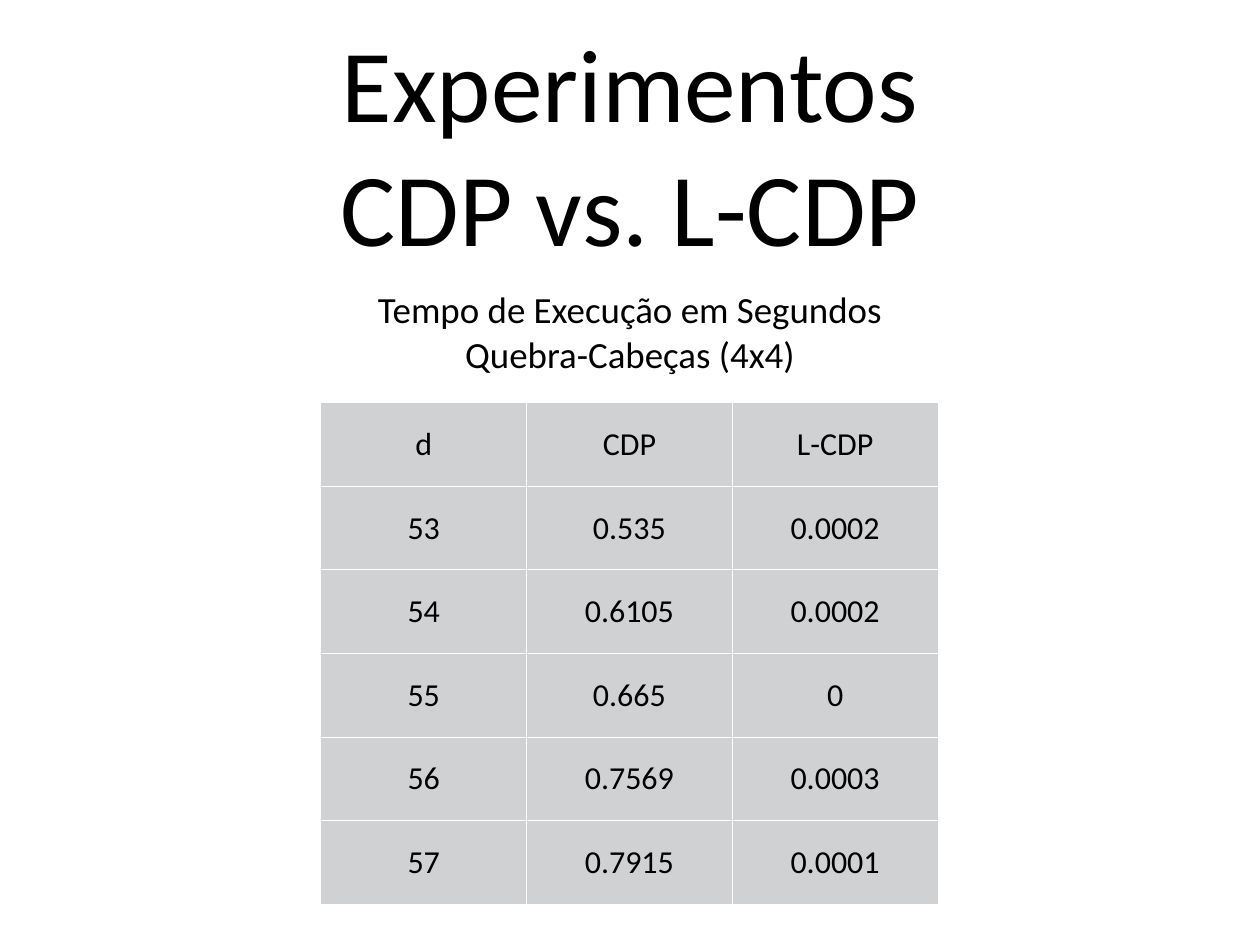
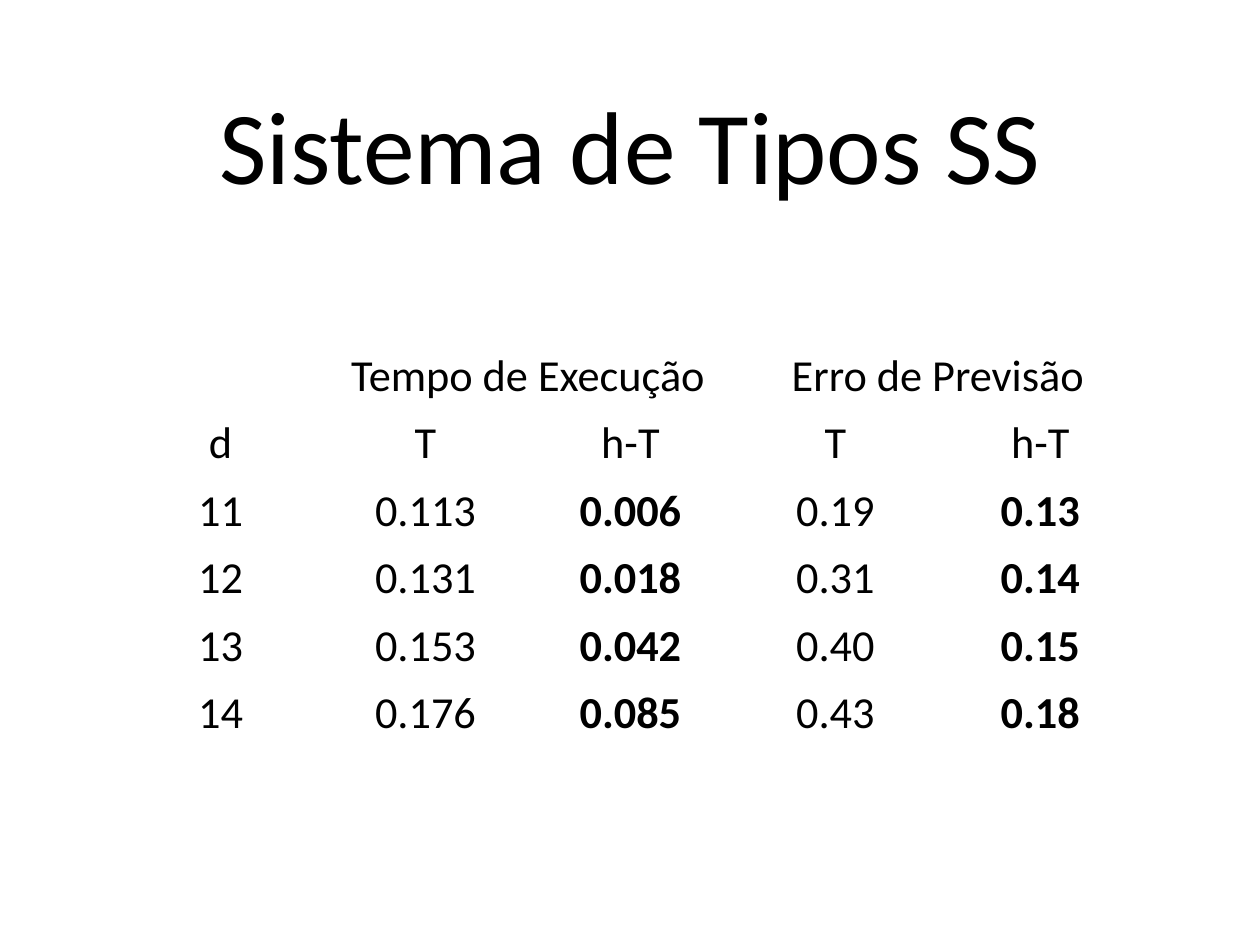
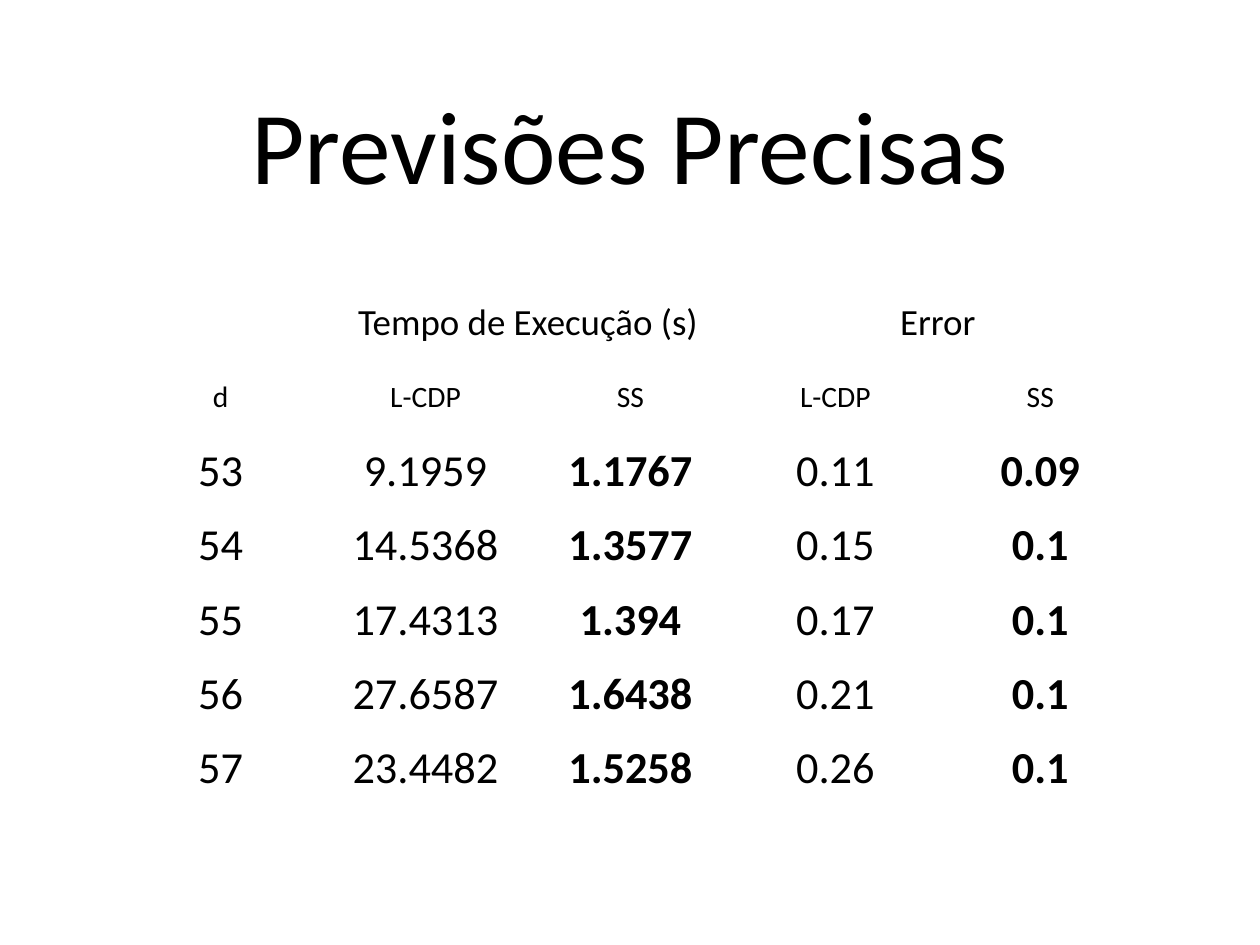
from lxml import etree
from pptx import Presentation
from pptx.dml.color import RGBColor
from pptx.enum.text import MSO_ANCHOR, MSO_AUTO_SIZE, PP_ALIGN
from pptx.oxml.ns import qn
from pptx.util import Emu, Pt

PIXEL = 10160
CENTER = PP_ALIGN.CENTER
MIDDLE = MSO_ANCHOR.MIDDLE
FIXED = MSO_AUTO_SIZE.NONE
GROW = MSO_AUTO_SIZE.SHAPE_TO_FIT_TEXT
COLORS = {"text": "000000", "cell": "D0D1D2", "grid": "FFFFFF"}
FONT = "Calibri"
TITLE_LAYOUT = 5
INSET = 5


def px(length):
    """Turn pixels into EMU."""
    return Emu(length * PIXEL)


def write(frame, text, size, bold=False):
    """Fill a text frame with centred lines of one format."""
    for index, line in enumerate(text.split("\n")):
        para = frame.add_paragraph() if index else frame.paragraphs[0]
        para.alignment = CENTER
        span = para.add_run()
        span.text = line
        span.font.name = FONT
        span.font.size = Pt(size)
        span.font.bold = bold
        span.font.color.rgb = RGBColor.from_string(COLORS["text"])


class Deck:
    """Hold the shared style and the current slide."""

    def __init__(self, width, height):
        """Open an empty deck of the given size."""
        self.pages = Presentation()
        self.pages.slide_width = px(width)
        self.pages.slide_height = px(height)
        self.page = None

    def add_page(self, title):
        """Start a slide with its title."""
        layout = self.pages.slide_layouts[TITLE_LAYOUT]
        self.page = self.pages.slides.add_slide(layout)
        box = self.page.shapes.title
        box.left, box.top, box.width, box.height = map(px, (125, 25, 1030, 240))
        self.fit(box.text_frame, wrap=True, sizing=FIXED)
        write(box.text_frame, title, size=84)

    def fit(self, frame, wrap, sizing):
        """Give a text frame the shared insets and anchor."""
        frame.margin_left = frame.margin_right = px(INSET)
        frame.margin_top = frame.margin_bottom = px(INSET)
        frame.vertical_anchor = MIDDLE
        frame.word_wrap = wrap
        frame.auto_size = sizing

    def add_caption(self, text, left, top, width, height, size):
        """Place a centred caption."""
        box = self.page.shapes.add_textbox(*map(px, (left, top, width, height)))
        self.fit(box.text_frame, wrap=False, sizing=GROW)
        write(box.text_frame, text, size)

    def add_table(self, rows, left, top, width, height, sizes,
                  fill=None, spans=(), bold_columns=()):
        """Place an even table, its last text size serving all further rows."""
        bounds = map(px, (left, top, width, height))
        table = self.page.shapes.add_table(len(rows), len(rows[0]), *bounds).table
        table.first_row = table.horz_banding = False
        for column in spans:
            table.cell(0, column).merge(table.cell(0, column + 1))
        for row, values in enumerate(rows):
            size = sizes[min(row, len(sizes) - 1)]
            for column, value in enumerate(values):
                cell = table.cell(row, column)
                self.style_cell(cell, fill)
                if value:
                    bold = row > 1 and column in bold_columns
                    write(cell.text_frame, value, size, bold)

    def style_cell(self, cell, fill):
        """Set the insets, fill and grid lines of a cell."""
        cell.margin_left = cell.margin_right = px(INSET)
        cell.margin_top = cell.margin_bottom = px(INSET)
        cell.vertical_anchor = MIDDLE
        if fill is None:
            cell.fill.background()
            return
        cell.fill.solid()
        cell.fill.fore_color.rgb = RGBColor.from_string(COLORS[fill])
        properties = cell._tc.get_or_add_tcPr()
        for index, side in enumerate(("lnL", "lnR", "lnT", "lnB")):
            line = etree.Element(qn("a:" + side), w=str(Pt(1)))
            paint = etree.SubElement(line, qn("a:solidFill"))
            etree.SubElement(paint, qn("a:srgbClr"), val=COLORS["grid"])
            properties.insert(index, line)


def main():
    """Build the three result slides."""
    deck = Deck(1280, 960)
    paired = {"left": 120, "width": 1041, "spans": (1, 3), "bold_columns": (2, 4)}

    deck.add_page("Experimentos\nCDP vs. L-CDP")
    deck.add_table([
        ("d", "CDP", "L-CDP"),
        ("53", "0.535", "0.0002"),
        ("54", "0.6105", "0.0002"),
        ("55", "0.665", "0"),
        ("56", "0.7569", "0.0003"),
        ("57", "0.7915", "0.0001"),
    ], left=326, top=409, width=627, height=510, sizes=(26,), fill="cell")
    deck.add_caption("Tempo de Execução em Segundos\nQuebra-Cabeças (4x4)",
                     left=372, top=288, width=536, height=97, size=30)

    deck.add_page("Sistema de Tipos SS")
    deck.add_table([
        ("", "Tempo de Execução", "", "Erro de Previsão", ""),
        ("d", "T", "h-T", "T", "h-T"),
        ("11", "0.113", "0.006", "0.19", "0.13"),
        ("12", "0.131", "0.018", "0.31", "0.14"),
        ("13", "0.153", "0.042", "0.40", "0.15"),
        ("14", "0.176", "0.085", "0.43", "0.18"),
    ], top=348, height=411, sizes=(36,), **paired)

    deck.add_page("Previsões Precisas")
    deck.add_table([
        ("", "Tempo de Execução (s)", "", "Error", ""),
        ("d", "L-CDP", "SS", "L-CDP", "SS"),
        ("53", "9.1959", "1.1767", "0.11", "0.09"),
        ("54", "14.5368", "1.3577", "0.15", "0.1"),
        ("55", "17.4313", "1.394", "0.17", "0.1"),
        ("56", "27.6587", "1.6438", "0.21", "0.1"),
        ("57", "23.4482", "1.5258", "0.26", "0.1"),
    ], top=290, height=529, sizes=(30, 24, 36), **paired)

    deck.pages.save("out.pptx")


if __name__ == "__main__":
    main()
